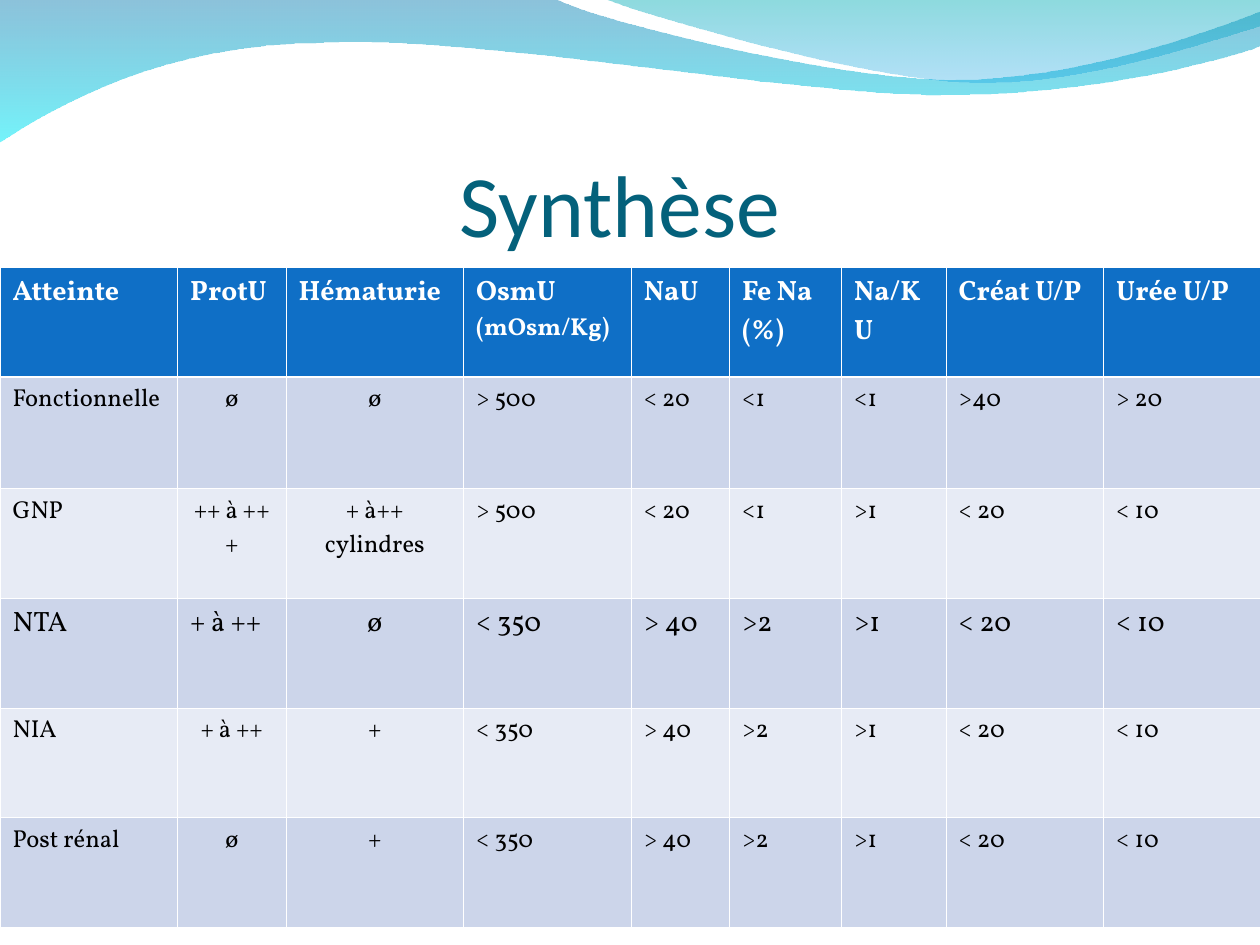
from pptx import Presentation
from pptx.util import Inches, Pt
from pptx.dml.color import RGBColor as RGB
from pptx.enum.text import PP_ALIGN as Al, MSO_ANCHOR as Anchor
from pptx.oxml.ns import qn
from lxml.etree import SubElement as Sub

HUE = {
    "title": "04617B", "head": "0F6FC6", "odd": "CCD5EA", "even": "E7EBF5",
    "white": "FFFFFF", "black": "000000",
    "blue": "0079AF", "cyan": "00EBF8", "teal": "00ADB6", "sky": "009BE5",
}

WAVES = [
    ((0, -0.01), [
        [(4.4, -0.01)],
        [(4.76, 0.17), (6.64, 0.63), (7.58, 0.63)],
        [(8.53, 0.63), (9.58, 0.26), (10, 0.09)],
        [(10.01, 0.36)],
        [(9.83, 0.44), (8.7, 0.76), (7.46, 0.75)],
        [(6.22, 0.75), (3.82, 0.28), (2.57, 0.34)],
        [(1.29, 0.35), (0.46, 0.83), (-0.01, 1.13)],
        [(0, -0.01)],
    ], [("blue", 45), ("cyan", 55)]),
    ((4.79, -0.01), [
        [(5.09, 0.11), (6.82, 0.62), (7.69, 0.65)],
        [(8.56, 0.69), (9.61, 0.32), (10, 0.21)],
        [(10, 0)],
        [(4.79, -0.01)],
    ], [("teal", 45), ("sky", 30)]),
]

COLS = [1.41, 0.86, 1.41, 1.33, 0.78, 0.89, 0.83, 1.25, 1.25]
ROWS = [0.87, 0.89, 0.87, 0.87, 0.87, 0.87]
DATA = [
    ["Atteinte", "ProtU", "Hématurie", "OsmU\n(mOsm/Kg)", "NaU",
     "Fe Na\n(%)", "Na/K U", "Créat U/P", "Urée U/P"],
    ["Fonctionnelle", "ø", "ø", "> 500", "< 20", "<1", "<1", ">40", "> 20"],
    ["GNP", "++ à +++", "+ à++\ncylindres", "> 500", "< 20", "<1", ">1",
     "< 20", "< 10"],
    ["NTA", "+ à ++", "ø", "< 350", "> 40", ">2", ">1", "< 20", "< 10"],
    ["NIA", "+ à ++", "+", "< 350", "> 40", ">2", ">1", "< 20", "< 10"],
    ["Post rénal", "ø", "+", "< 350", "> 40", ">2", ">1", "< 20", "< 10"],
]
HEAD, NTA = 0, 3


def tint(name):
    return RGB.from_string(HUE[name])


def write(frame, text, size=14, font="Vollkorn", hue="black", bold=False,
          align=Al.LEFT):
    frame.word_wrap = True
    for i, line in enumerate(text.split("\n")):
        para = frame.paragraphs[0] if i == 0 else frame.add_paragraph()
        para.alignment = align
        run = para.add_run()
        run.text = line
        run.font.size = Pt(size)
        run.font.name = font
        run.font.bold = bold
        run.font.color.rgb = tint(hue)


def bend(wave, parts):
    lines = iter(list(wave._element.iter(qn("a:lnTo"))))
    for part in parts:
        first, *rest = [next(lines) for _ in part]
        if rest:
            first.tag = qn("a:cubicBezTo")
        for line in rest:
            first.append(line[0])
            line.getparent().remove(line)


def add_wave(slide, start, parts, stops):
    pts = [start] + [pt for part in parts for pt in part]
    pts = [(Inches(x), Inches(y)) for x, y in pts]
    pen = slide.shapes.build_freeform(*pts[0], scale=1.0)
    pen.add_line_segments(pts[1:], close=True)
    wave = pen.convert_to_shape()
    bend(wave, parts)
    wave.shadow.inherit = False
    wave.line.fill.background()
    wave.fill.gradient()
    wave.fill.gradient_angle = 270
    for stop, (name, _) in zip(wave.fill.gradient_stops, stops):
        stop.color.rgb = tint(name)
    marks = wave._element.spPr.iter(qn("a:srgbClr"))
    for mark, (_, alpha) in zip(marks, stops):
        Sub(mark, qn("a:alpha"), val=str(alpha * 1000))


def add_title(slide, text):
    box = slide.shapes.add_textbox(Inches(0.5), Inches(0.77), Inches(9),
                                   Inches(1.25))
    frame = box.text_frame
    frame.margin_left = frame.margin_right = frame.margin_bottom = 0
    frame.margin_top = Inches(0.05)
    frame.vertical_anchor = Anchor.BOTTOM
    write(frame, text, size=50, font="Calibri", hue="title", align=Al.CENTER)


def edge(cell, row):
    heavy = {HEAD: "B", HEAD + 1: "T"}.get(row)
    props = cell._tc.get_or_add_tcPr()
    for side in "LRTB":
        width = Pt(1.47 if side == heavy else 0.45)
        line = Sub(props, qn("a:ln" + side), w=str(width))
        Sub(Sub(line, qn("a:solidFill")), qn("a:srgbClr"), val=HUE["white"])


def style(row, col):
    if row == HEAD:
        return dict(size=16, hue="white", bold=True)
    left = col not in (1, 2) or (row, col) == (NTA, 1)
    return dict(size=16 if row == NTA else 14,
                align=Al.LEFT if left else Al.CENTER)


def add_grid(slide):
    grid = slide.shapes.add_table(len(ROWS), len(COLS), 0, Inches(2.12),
                                  Inches(10), Inches(5.23)).table
    grid.horz_banding = False
    for col, width in zip(grid.columns, COLS):
        col.width = Inches(width)
    for r, (height, texts) in enumerate(zip(ROWS, DATA)):
        grid.rows[r].height = Inches(height)
        back = "head" if r == HEAD else "odd" if r % 2 else "even"
        for c, text in enumerate(texts):
            cell = grid.cell(r, c)
            edge(cell, r)
            cell.fill.solid()
            cell.fill.fore_color.rgb = tint(back)
            write(cell.text_frame, text, **style(r, c))
    unit = grid.cell(HEAD, 3).text_frame.paragraphs[1].runs[0]
    unit.font.size = Pt(14)


def main():
    deck = Presentation()
    deck.slide_width, deck.slide_height = Inches(10), Inches(7.5)
    slide = deck.slides.add_slide(deck.slide_layouts[6])
    for wave in WAVES:
        add_wave(slide, *wave)
    add_title(slide, "Synthèse ")
    add_grid(slide)
    deck.save("out.pptx")


if __name__ == "__main__":
    main()
